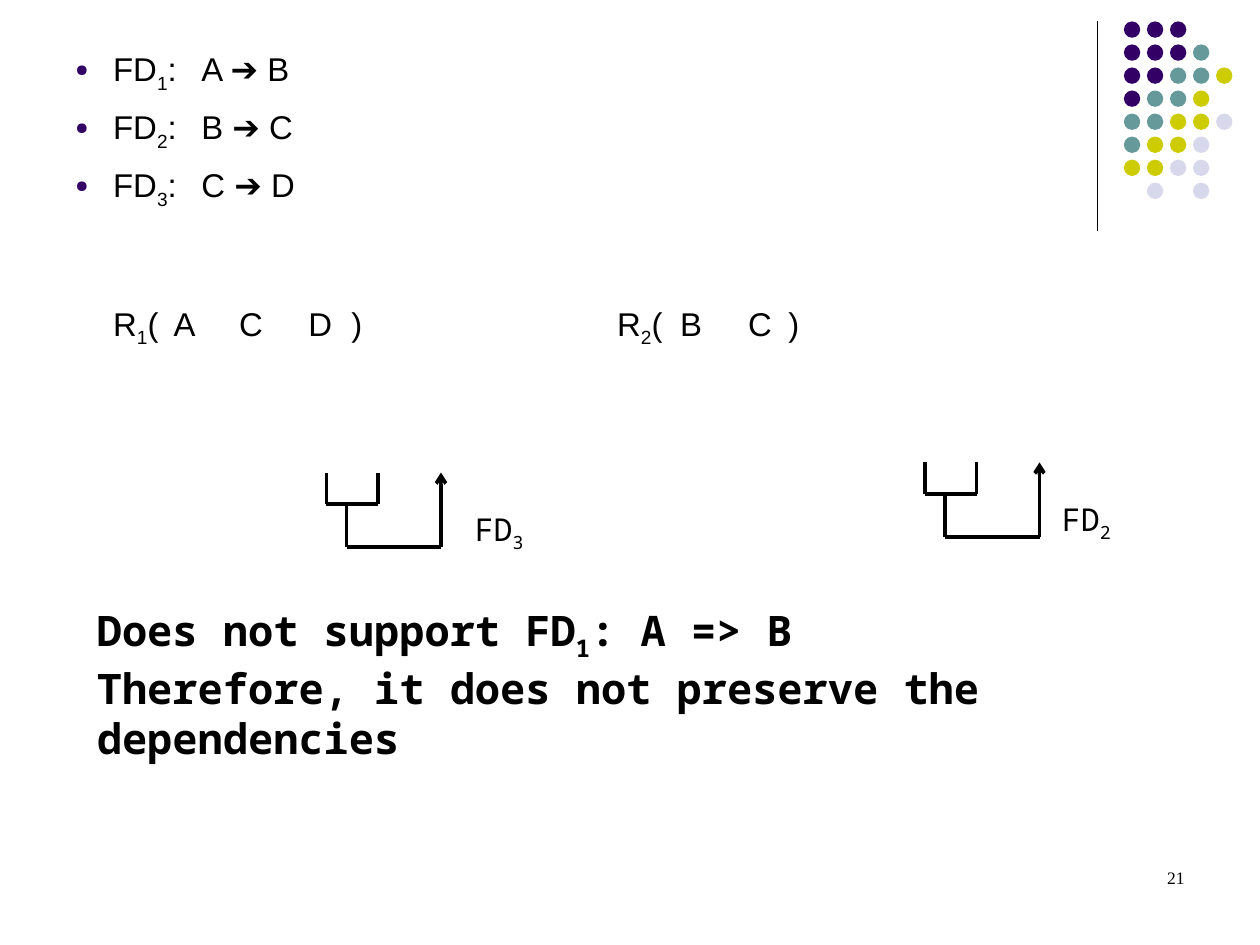
from dataclasses import dataclass

from lxml.etree import SubElement as add_element
from pptx import Presentation
from pptx.dml.color import RGBColor
from pptx.enum.shapes import MSO_CONNECTOR as Connector, MSO_SHAPE as Shape
from pptx.enum.text import PP_ALIGN as Align
from pptx.oxml.ns import qn
from pptx.util import Inches, Pt


@dataclass(frozen=True)
class Theme:
    """Colours, fonts and type sizes of the slide."""
    ink: str = "000000"
    purple: str = "330066"
    teal: str = "669999"
    lime: str = "CCCC00"
    mist: str = "D8D8EC"
    body_font: str = "Arial"
    mono_font: str = "Noto Sans Mono"
    number_font: str = "Times New Roman"
    body: float = 18.8
    label: float = 18
    conclusion: float = 24
    number: float = 10


THEME = Theme()


def set_bullet(properties, color):
    """Give paragraph properties a hanging round bullet."""
    properties.set("marL", str(Inches(0.3)))
    properties.set("indent", str(Inches(-0.3)))
    bullet_color = add_element(properties, qn("a:buClr"))
    add_element(bullet_color, qn("a:srgbClr"), val=color)
    add_element(properties, qn("a:buSzPct"), val="50000")
    add_element(properties, qn("a:buChar"), char="●")


def set_tabs(properties, stops):
    """Give paragraph properties left tab stops in inches."""
    tab_list = add_element(properties, qn("a:tabLst"))
    for stop in stops:
        add_element(tab_list, qn("a:tab"), pos=str(Inches(stop)), algn="l")


def write(paragraph, text, *, font, size, bold=False, align=Align.LEFT,
          before=0, bullet=False, tabs=()):
    """Write text whose parts between underscores are subscripts."""
    properties = paragraph._p.get_or_add_pPr()
    if bullet:
        set_bullet(properties, THEME.purple)
    if tabs:
        set_tabs(properties, tabs)
    paragraph.alignment = align
    if before:
        paragraph.space_before = Pt(before)
    for index, part in enumerate(text.split("_")):
        if not part:
            continue
        span = paragraph.add_run()
        span.text = part
        span.font.name = font
        span.font.size = Pt(size)
        span.font.bold = bold
        span.font.color.rgb = RGBColor.from_string(THEME.ink)
        if index % 2:
            span.font._element.set("baseline", "-25000")


def add_text(page, left, top, width, height, lines, *, before=0, **style):
    """Add a text box with one paragraph per line, spaced apart by before."""
    box = page.shapes.add_textbox(Inches(left), Inches(top), Inches(width), Inches(height))
    frame = box.text_frame
    frame.word_wrap = True
    for index, text in enumerate(lines):
        paragraph = frame.add_paragraph() if index else frame.paragraphs[0]
        write(paragraph, text, before=before if index else 0, **style)


def add_line(page, start, end, width, arrow=False):
    """Add a straight line, with an arrowhead at its end if asked."""
    line = page.shapes.add_connector(
        Connector.STRAIGHT, *(Inches(value) for value in (*start, *end)))
    line.line.width = Pt(width)
    line.line.color.rgb = RGBColor.from_string(THEME.ink)
    if arrow:
        add_element(line.line._get_or_add_ln(), qn("a:tailEnd"), type="arrow")
    add_element(line._element.spPr, qn("a:effectLst"))


def add_dot(page, left, top, color):
    """Add one round dot of the corner pattern."""
    dot = page.shapes.add_shape(
        Shape.OVAL, Inches(left), Inches(top), Inches(0.13), Inches(0.13))
    dot.shadow.inherit = False
    dot.fill.solid()
    dot.fill.fore_color.rgb = RGBColor.from_string(color)
    dot.line.fill.background()


def add_corner(page):
    """Add the rule and the dot pattern in the top right corner."""
    add_line(page, (8.71, 0.17), (8.71, 1.83), 0.75)
    colors = {"P": THEME.purple, "T": THEME.teal, "L": THEME.lime, "M": THEME.mist}
    rows = ("PPP", "PPPT", "PPTTL", "PTTL", "TTLLM", "TLLM", "LLMM", ".M.M")
    pitch = 1.28 / 7
    for row, marks in enumerate(rows):
        for column, mark in enumerate(marks):
            if mark in colors:
                add_dot(page, 8.92 + column * pitch, 0.17 + row * pitch, colors[mark])


def add_dependency(page, left, top):
    """Add a bracket under two attributes with an arrow to a third."""
    bar, base = top + 0.25, top + 0.59
    right, stem, target = left + 0.41, left + 0.16, left + 0.91
    for start, end in (
        ((left, bar), (right, bar)),
        ((left, bar), (left, top)),
        ((right, bar), (right, top)),
        ((stem, base), (stem, bar)),
        ((stem, base), (target, base)),
    ):
        add_line(page, start, end, 2)
    add_line(page, (target, base), (target, top), 2, arrow=True)


def add_relations(page):
    """Add the bulleted dependencies and the two decomposed relations."""
    style = dict(font=THEME.body_font, size=THEME.body)
    rules = ("FD_1_:\tA ➔ B", "FD_2_:\tB ➔ C", "FD_3_:\tC ➔ D")
    add_text(page, 0.5, 0.34, 8, 1.5, rules, bullet=True, before=7.5, **style)
    for left, text, tabs in (
        (0.8, "R_1_(\tA\tC\tD\t)", (0.48, 1, 1.55, 1.89)),
        (4.8, "R_2_(\tB\tC\t)", (0.5, 1.04, 1.36)),
    ):
        add_text(page, left, 2.36, 3, 0.45, [text], tabs=tabs, **style)


def main():
    """Build the slide and save the deck."""
    deck = Presentation()
    deck.slide_width, deck.slide_height = Inches(10), Inches(7.5)
    page = deck.slides.add_slide(deck.slide_layouts[6])
    add_corner(page)
    add_relations(page)
    add_dependency(page, 2.59, 3.75)
    add_dependency(page, 7.34, 3.67)
    add_text(page, 0.67, 4.75, 8.58, 0.96, [
        "Does not support FD_1_: A => B",
        "Therefore, it does not preserve the dependencies",
    ], font=THEME.mono_font, size=THEME.conclusion, bold=True)
    for left, top, text in ((3.67, 4, "FD_3_"), (8.33, 3.92, "FD_2_")):
        add_text(page, left, top, 0.92, 0.44, [text],
                 font=THEME.mono_font, size=THEME.label)
    add_text(page, 7.17, 6.83, 2.33, 0.5, ["21"],
             font=THEME.number_font, size=THEME.number, align=Align.RIGHT)
    deck.save("out.pptx")


if __name__ == "__main__":
    main()
